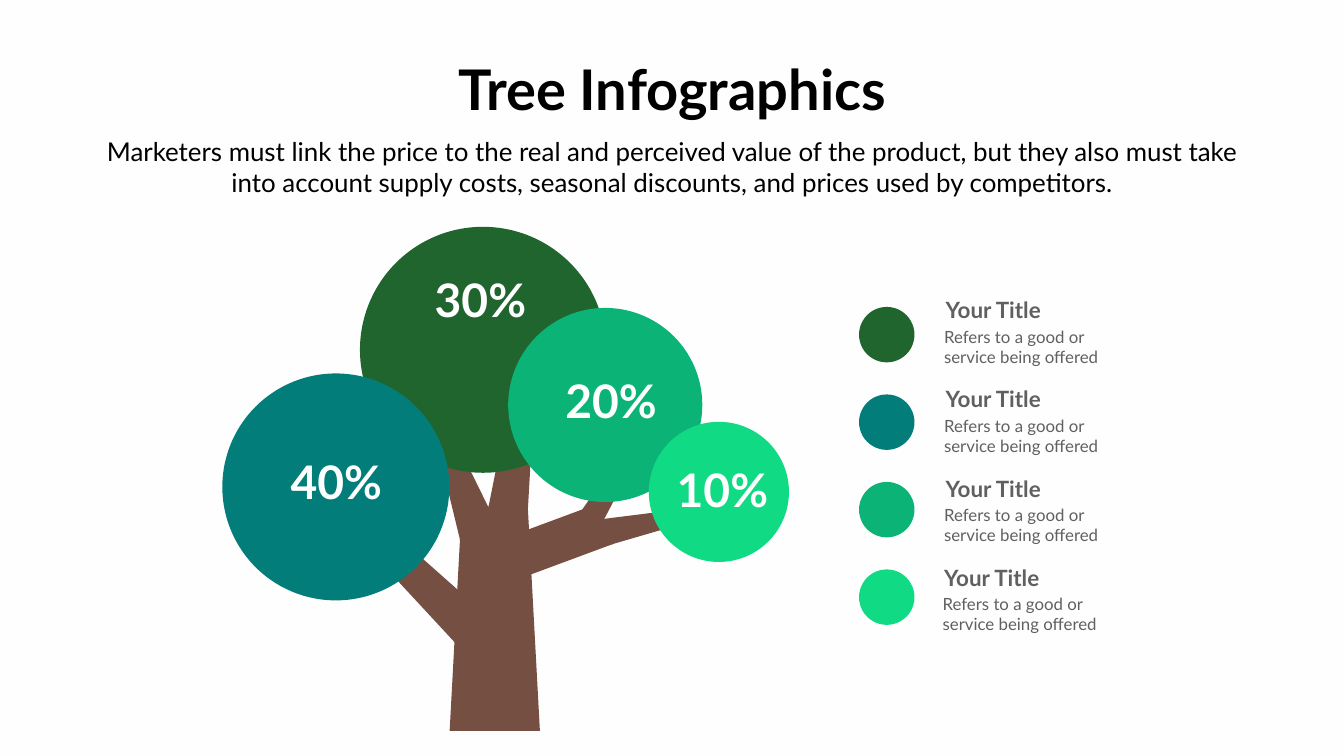
from pptx import Presentation
from pptx.dml.color import RGBColor
from pptx.enum import shapes, text
from pptx.util import Pt

FONT = "Lato"
PAPER = RGBColor(0xFE, 0xFE, 0xFF)
BLACK = RGBColor(0, 0, 0)
WHITE = RGBColor(0xFF, 0xFF, 0xFF)
GREY = RGBColor(0x60, 0x60, 0x60)
BARK = RGBColor(0x75, 0x50, 0x42)
FOREST = RGBColor(0x20, 0x64, 0x2E)
TEAL = RGBColor(0x02, 0x7D, 0x79)
GREEN = RGBColor(0x0B, 0xB3, 0x77)
MINT = RGBColor(0x10, 0xDA, 0x83)

CENTER = text.PP_ALIGN.CENTER
LEFT = text.PP_ALIGN.LEFT

TITLE = "Tree Infographics"
SUBTITLE = (
    "Marketers must link the price to the real and perceived value of the "
    "product, but they also must take into account supply costs, seasonal "
    "discounts, and prices used by competitors."
)

# Corner points of the trunk, then of each branch
WOOD = [
    [(659.5, 723.6), (642.2, 1044), (771.1, 1044), (753.8, 723.6)],
    [(876.2, 776.9), (725, 833), (703.4, 775.4), (854.6, 719.3)],
    [(761, 603.4), (751.7, 767.5), (690.5, 759.6), (722.9, 599)],
    [(622.1, 627.1), (661.7, 790.6), (719.3, 769), (645.1, 617.8)],
    [(906.5, 658.1), (863.3, 740.9), (825.1, 737.3), (888.5, 645.8)],
    [(940.3, 731.5), (831.6, 745.2), (841.7, 787), (950.4, 755.3)],
    [(553.7, 814.3), (663.8, 933.1), (706.3, 889.2), (585.4, 781.9)],
    [(537.8, 702), (595.4, 791.3), (553.7, 814.3), (519.8, 708.5)],
    [(1009.4, 648.7), (931.7, 732.2), (950.4, 755.3), (1015.9, 655.2)],
]

# Share, colour, circle (left, top, diameter), label (left, top)
CROWNS = [
    ("30%", FOREST, (514.1, 324, 351.4), (605.5, 383.8)),
    ("20%", GREEN, (725.8, 439.9, 277.2), (792, 527.8)),
    ("40%", TEAL, (317.5, 533.5, 324.2), (399.6, 644.4)),
    ("10%", MINT, (926.6, 602.6, 200.2), (951.1, 655.9)),
]

# Dot colour and left edge of the heading
LEGEND = [(FOREST, 1343.5), (TEAL, 1343.5), (GREEN, 1343.5), (MINT, 1341.4)]
DOT_LEFT, DOT_TOP, DOT_SIZE, DOT_PITCH = 1226.9, 438.5, 79.2, 125
HEADING_TOP, HEADING_PITCH = 419.8, 127.4


def paint(shape, color):
    """Give a shape a flat fill without line or shadow."""
    shape.shadow.inherit = False
    shape.fill.solid()
    shape.fill.fore_color.rgb = color
    shape.line.fill.background()


def add_branch(page, corners):
    points = [(Pt(x), Pt(y)) for x, y in corners]
    builder = page.shapes.build_freeform(*points[0])
    builder.add_line_segments(points[1:], close=True)
    paint(builder.convert_to_shape(), BARK)


def add_circle(page, left, top, size, color):
    circle = page.shapes.add_shape(
        shapes.MSO_SHAPE.OVAL, Pt(left), Pt(top), Pt(size), Pt(size)
    )
    paint(circle, color)


def add_text(page, area, lines, size, color, bold=False, align=CENTER, wrap=True):
    """Add a text box with one paragraph per line."""
    box = page.shapes.add_textbox(*(Pt(length) for length in area))
    frame = box.text_frame
    frame.word_wrap = wrap
    frame.auto_size = text.MSO_AUTO_SIZE.SHAPE_TO_FIT_TEXT
    frame.text = "\n".join(lines)
    font_format = {"name": FONT, "size": Pt(size), "bold": bold}
    for para in frame.paragraphs:
        para.alignment = align
        for span in para.runs:
            for name, value in font_format.items():
                setattr(span.font, name, value)
            span.font.color.rgb = color


def add_legend_entry(page, index, color, left):
    add_circle(page, DOT_LEFT, DOT_TOP + index * DOT_PITCH, DOT_SIZE, color)
    top = HEADING_TOP + index * HEADING_PITCH
    add_text(page, (left, top, 158.4, 46.1), ["Your Title"], 32, GREY,
             bold=True, align=LEFT)
    add_text(page, (left - 2.2, top + 42.9, 241.9, 65.5),
             ["Refers to a good or", "service being offered"], 24, GREY,
             align=LEFT)


def main():
    deck = Presentation()
    deck.slide_width, deck.slide_height = Pt(1919.52), Pt(1080)
    page = deck.slides.add_slide(deck.slide_layouts[6])
    page.background.fill.solid()
    page.background.fill.fore_color.rgb = PAPER

    add_text(page, (640.1, 74.2, 640.1, 104.4), [TITLE], 80, BLACK,
             bold=True, wrap=False)
    add_text(page, (132.5, 190.1, 1654.6, 97.2), [SUBTITLE], 37, BLACK)

    for corners in WOOD:
        add_branch(page, corners)
    for share, color, circle, label in CROWNS:
        add_circle(page, *circle, color)
        add_text(page, (*label, 161.3, 87.1), [share], 66, WHITE, bold=True)
    for index, (color, left) in enumerate(LEGEND):
        add_legend_entry(page, index, color, left)

    deck.save("out.pptx")


if __name__ == "__main__":
    main()
